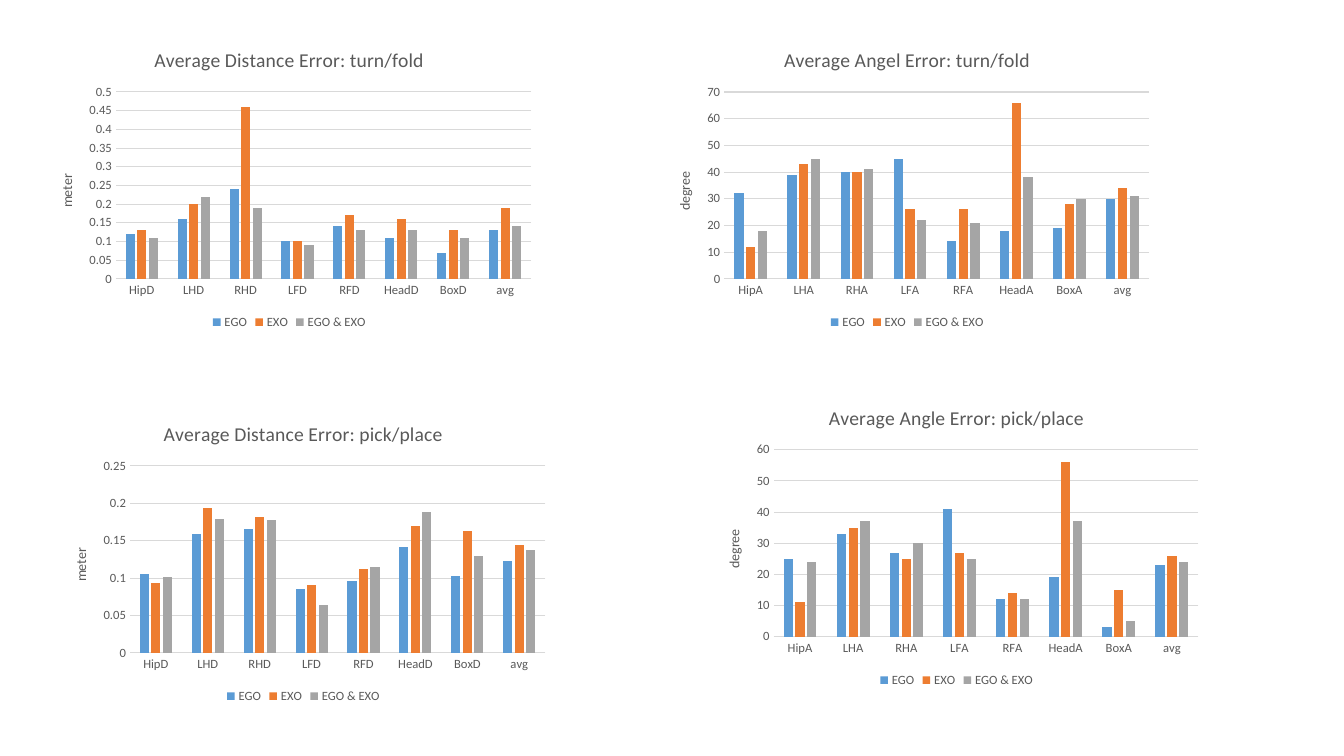
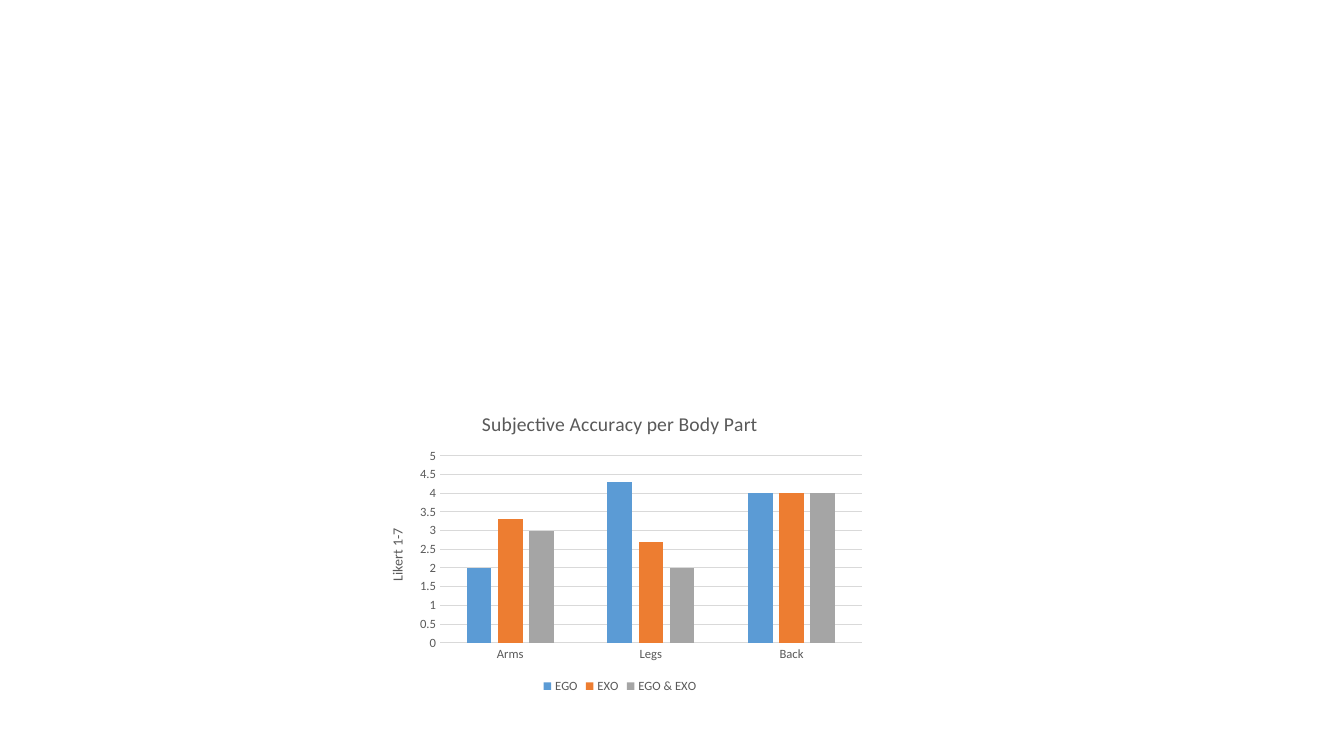
"""Build two slides of clustered column charts that compare EGO and EXO errors."""
from dataclasses import dataclass

from pptx import Presentation
from pptx import util as u
from pptx.chart.data import CategoryChartData
from pptx.dml.color import RGBColor
from pptx.enum import chart as kinds

FONT = "Calibri"
TEXT_COLOUR = "595959"
RULE_COLOUR = "D9D9D9"
CHART_WIDTH, CHART_HEIGHT = 360, 216
SERIES_COLOURS = {"EGO": "5B9BD5", "EXO": "ED7D31", "EGO & EXO": "A5A5A5"}
DISTANCES = ("HipD", "LHD", "RHD", "LFD", "RFD", "HeadD", "BoxD", "avg")
ANGLES = ("HipA", "LHA", "RHA", "LFA", "RFA", "HeadA", "BoxA", "avg")


@dataclass(frozen=True)
class ColumnChart:
    title: str
    unit: str
    left: float
    top: float
    maximum: float
    step: float
    categories: tuple[str, ...]
    values: tuple[tuple[float, ...], ...]


ERROR_CHARTS = (
    ColumnChart("Average Distance Error: turn/fold", "meter", 26.64, 22.32, 0.5, 0.05, DISTANCES, (
        (0.12, 0.16, 0.24, 0.1, 0.14, 0.11, 0.07, 0.13),
        (0.13, 0.2, 0.46, 0.1, 0.17, 0.16, 0.13, 0.19),
        (0.11, 0.22, 0.19, 0.09, 0.13, 0.13, 0.11, 0.14))),
    ColumnChart("Average Angel Error: turn/fold", "degree", 468, 22.32, 70, 10, ANGLES, (
        (32, 39, 40, 45, 14, 18, 19, 30),
        (12, 43, 40, 26, 26, 66, 28, 34),
        (18, 45, 41, 22, 21, 38, 30, 31))),
    ColumnChart("Average Distance Error: pick/place", "meter", 36.72, 289.44, 0.25, 0.05, DISTANCES, (
        (0.106, 0.159, 0.166, 0.086, 0.096, 0.141, 0.103, 0.123),
        (0.094, 0.194, 0.182, 0.091, 0.112, 0.17, 0.163, 0.144),
        (0.102, 0.179, 0.178, 0.064, 0.115, 0.188, 0.13, 0.137))),
    ColumnChart("Average Angle Error: pick/place", "degree", 503.28, 277.92, 60, 10, ANGLES, (
        (25, 33, 27, 41, 12, 19, 3, 23),
        (11, 35, 25, 27, 14, 56, 15, 26),
        (24, 37, 30, 25, 12, 37, 5, 24))),
)
ACCURACY_CHARTS = (
    ColumnChart("Subjective Accuracy per Body Part", "Likert 1-7", 262.8, 282.24, 5, 0.5,
                ("Arms", "Legs", "Back"), ((2, 4.3, 4), (3.3, 2.7, 4), (3, 2, 4))),
)


def colour(value: str) -> RGBColor:
    return RGBColor.from_string(value)


def set_all(target, values: dict) -> None:
    for name, value in values.items():
        setattr(target, name, value)


def style_font(font, size: float) -> None:
    set_all(font, {"name": FONT, "size": u.Pt(size), "bold": False})
    font.color.rgb = colour(TEXT_COLOUR)


def style_line(line) -> None:
    line.width = u.Pt(0.75)
    line.color.rgb = colour(RULE_COLOUR)


def write_title(owner, words: str, size: float) -> None:
    owner.has_title = True
    title = owner.chart_title if hasattr(owner, "chart_title") else owner.axis_title
    para = title.text_frame.paragraphs[0]
    span = para.add_run()
    span.text = words
    style_font(para.font, size)
    style_font(span.font, size)


def style_axes(chart, item: ColumnChart) -> None:
    for axis in (chart.category_axis, chart.value_axis):
        set_all(axis, {"major_tick_mark": kinds.XL_TICK_MARK.NONE,
                       "minor_tick_mark": kinds.XL_TICK_MARK.NONE})
        style_font(axis.tick_labels.font, 9)
    style_line(chart.category_axis.format.line)
    scale = chart.value_axis
    set_all(scale, {"minimum_scale": 0, "maximum_scale": item.maximum,
                    "major_unit": item.step, "has_major_gridlines": True})
    set_all(scale.tick_labels, {"number_format": "General", "number_format_is_linked": False})
    scale.format.line.fill.background()
    style_line(scale.major_gridlines.format.line)
    write_title(scale, item.unit, 10)


def add_column_chart(page, item: ColumnChart) -> None:
    data = CategoryChartData()
    data.categories = item.categories
    for name, values in zip(SERIES_COLOURS, item.values):
        data.add_series(name, values)
    frame = page.shapes.add_chart(
        kinds.XL_CHART_TYPE.COLUMN_CLUSTERED, u.Pt(item.left), u.Pt(item.top),
        u.Pt(CHART_WIDTH), u.Pt(CHART_HEIGHT), data)
    chart = frame.chart
    set_all(chart.font, {"name": FONT, "size": u.Pt(10)})
    write_title(chart, item.title, 14)
    style_axes(chart, item)
    chart.has_legend = True
    set_all(chart.legend, {"position": kinds.XL_LEGEND_POSITION.BOTTOM,
                           "include_in_layout": False})
    style_font(chart.legend.font, 9)
    plot = chart.plots[0]
    set_all(plot, {"gap_width": 219, "overlap": -27, "vary_by_categories": False})
    for series in plot.series:
        series.format.fill.solid()
        series.format.fill.fore_color.rgb = colour(SERIES_COLOURS[series.name])


def main() -> None:
    deck = Presentation()
    set_all(deck, {"slide_width": u.Pt(960), "slide_height": u.Pt(540)})
    for charts in (ERROR_CHARTS, ACCURACY_CHARTS):
        page = deck.slides.add_slide(deck.slide_layouts[6])
        for item in charts:
            add_column_chart(page, item)
    deck.save("out.pptx")


if __name__ == "__main__":
    main()
